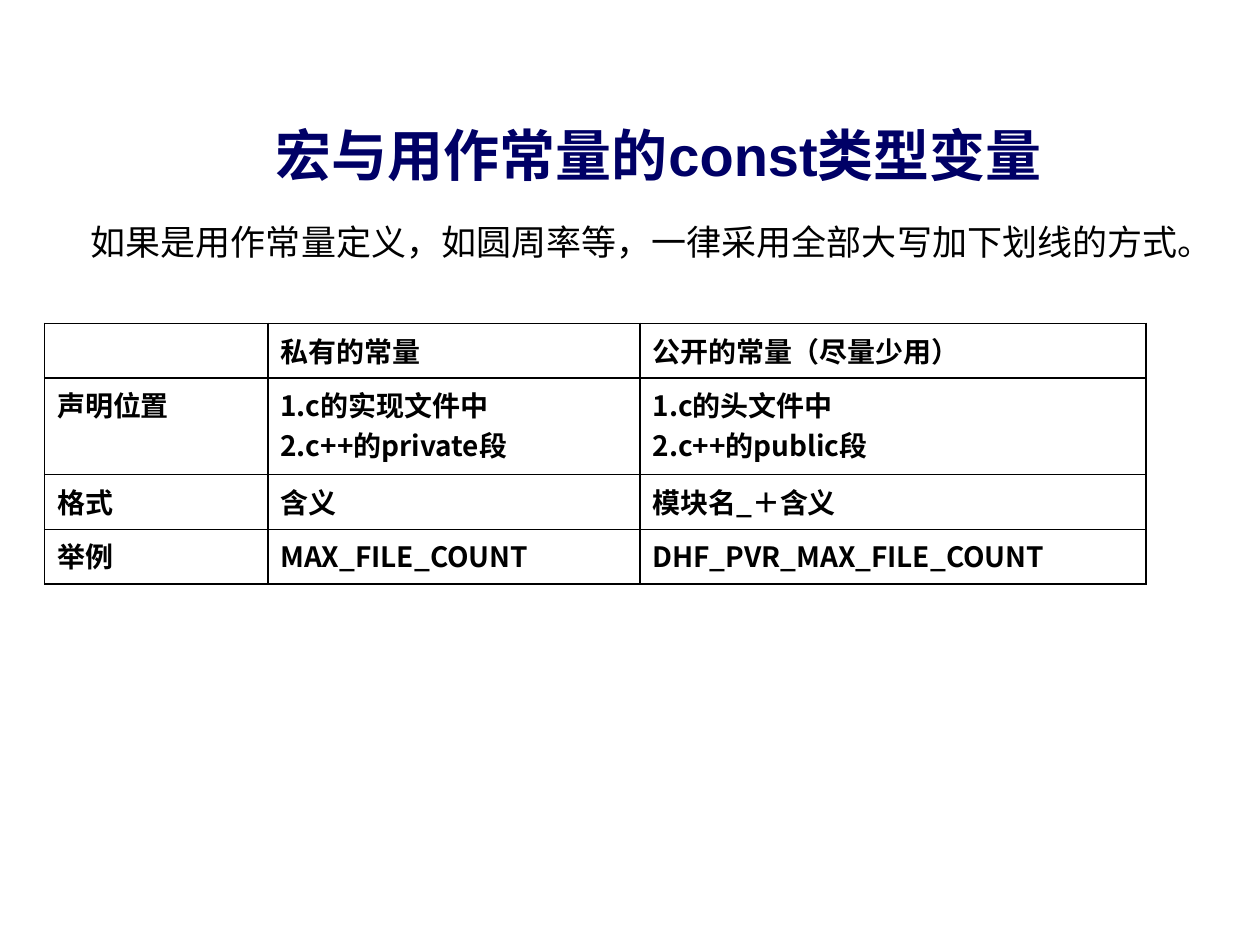
from dataclasses import dataclass

from lxml import etree
from pptx import Presentation
from pptx import util as u
from pptx.dml.color import RGBColor
from pptx.enum import text
from pptx.oxml import ns

NAVY = RGBColor(0x00, 0x00, 0x66)
BLACK = RGBColor(0x00, 0x00, 0x00)
LATIN_FONT = "Arial"
CHINESE_FONT = "Noto Sans CJK SC"


@dataclass(frozen=True)
class Style:
    size: int
    color: RGBColor
    bold: bool = False
    font: str = CHINESE_FONT


@dataclass(frozen=True)
class Entry:
    lines: tuple[str, ...]
    numbered: bool = False


TITLE_STYLE = Style(32, NAVY, True, LATIN_FONT)
RULE_STYLE = Style(20, BLACK)
CELL_STYLE = Style(16, BLACK, True)

COLUMN_WIDTHS = (4.5, 7.5, 10.2)
ROW_HEIGHTS = (1.1, 1.95, 1.1, 1.1)
ROWS = (
    (Entry(("",)), Entry(("私有的常量",)), Entry(("公开的常量（尽量少用）",))),
    (
        Entry(("声明位置",)),
        Entry(("c的实现文件中", "c++的private段"), numbered=True),
        Entry(("c的头文件中", "c++的public段"), numbered=True),
    ),
    (Entry(("格式",)), Entry(("含义",)), Entry(("模块名_＋含义",))),
    (Entry(("举例",)), Entry(("MAX_FILE_COUNT",)), Entry(("DHF_PVR_MAX_FILE_COUNT",))),
)


def format_frame(frame, style: Style) -> None:
    for para in frame.paragraphs:
        for span in para.runs:
            span.font.size = u.Pt(style.size)
            span.font.bold = style.bold
            span.font.name = style.font
            span.font.color.rgb = style.color
            east_asian = etree.SubElement(span.font._element, ns.qn("a:ea"))
            east_asian.set("typeface", CHINESE_FONT)


def number_paragraph(para) -> None:
    properties = para._p.get_or_add_pPr()
    properties.set("marL", "0")
    properties.set("indent", "0")
    etree.SubElement(properties, ns.qn("a:buFontTx"))
    etree.SubElement(properties, ns.qn("a:buAutoNum")).set("type", "arabicPeriod")


def add_borders(cell) -> None:
    properties = cell._tc.get_or_add_tcPr()
    for index, side in enumerate(("lnL", "lnR", "lnT", "lnB")):
        line = etree.Element(ns.qn(f"a:{side}"), w=str(u.Pt(1)))
        fill = etree.SubElement(line, ns.qn("a:solidFill"))
        etree.SubElement(fill, ns.qn("a:srgbClr")).set("val", str(BLACK))
        properties.insert(index, line)


def fill_cell(cell, entry: Entry) -> None:
    cell.fill.background()
    add_borders(cell)
    cell.text_frame.text = "\n".join(entry.lines)
    format_frame(cell.text_frame, CELL_STYLE)
    if entry.numbered:
        for para in cell.text_frame.paragraphs:
            number_paragraph(para)


def add_title(page) -> None:
    title = page.shapes.title
    title.left, title.top = u.Cm(2.7), u.Cm(2.3)
    title.width, title.height = u.Cm(21.43), u.Cm(1.63)
    frame = title.text_frame
    frame.text = "宏与用作常量的const类型变量 "
    frame.vertical_anchor = text.MSO_ANCHOR.MIDDLE
    frame.auto_size = text.MSO_AUTO_SIZE.NONE
    frame.paragraphs[0].alignment = text.PP_ALIGN.CENTER
    format_frame(frame, TITLE_STYLE)


def add_rule(page) -> None:
    box = page.shapes.add_textbox(u.Cm(1.58), u.Cm(4.32), u.Cm(23.82), u.Cm(1.1))
    frame = box.text_frame
    frame.text = "如果是用作常量定义，如圆周率等，一律采用全部大写加下划线的方式。"
    frame.word_wrap = False
    frame.auto_size = text.MSO_AUTO_SIZE.SHAPE_TO_FIT_TEXT
    frame.vertical_anchor = text.MSO_ANCHOR.MIDDLE
    format_frame(frame, RULE_STYLE)


def add_naming_table(page) -> None:
    table = page.shapes.add_table(
        len(ROWS), len(COLUMN_WIDTHS), u.Cm(0.9), u.Cm(6.52),
        u.Cm(sum(COLUMN_WIDTHS)), u.Cm(sum(ROW_HEIGHTS)),
    ).table
    table.first_row = table.horz_banding = False
    for column, width in zip(table.columns, COLUMN_WIDTHS):
        column.width = u.Cm(width)
    for row, height, entries in zip(table.rows, ROW_HEIGHTS, ROWS):
        row.height = u.Cm(height)
        for cell, entry in zip(row.cells, entries):
            fill_cell(cell, entry)


def main() -> None:
    deck = Presentation()
    deck.slide_width, deck.slide_height = u.Cm(25.4), u.Cm(19.05)
    page = deck.slides.add_slide(deck.slide_layouts.get_by_name("Title Only"))
    add_title(page)
    add_rule(page)
    add_naming_table(page)
    deck.save("out.pptx")


if __name__ == "__main__":
    main()
